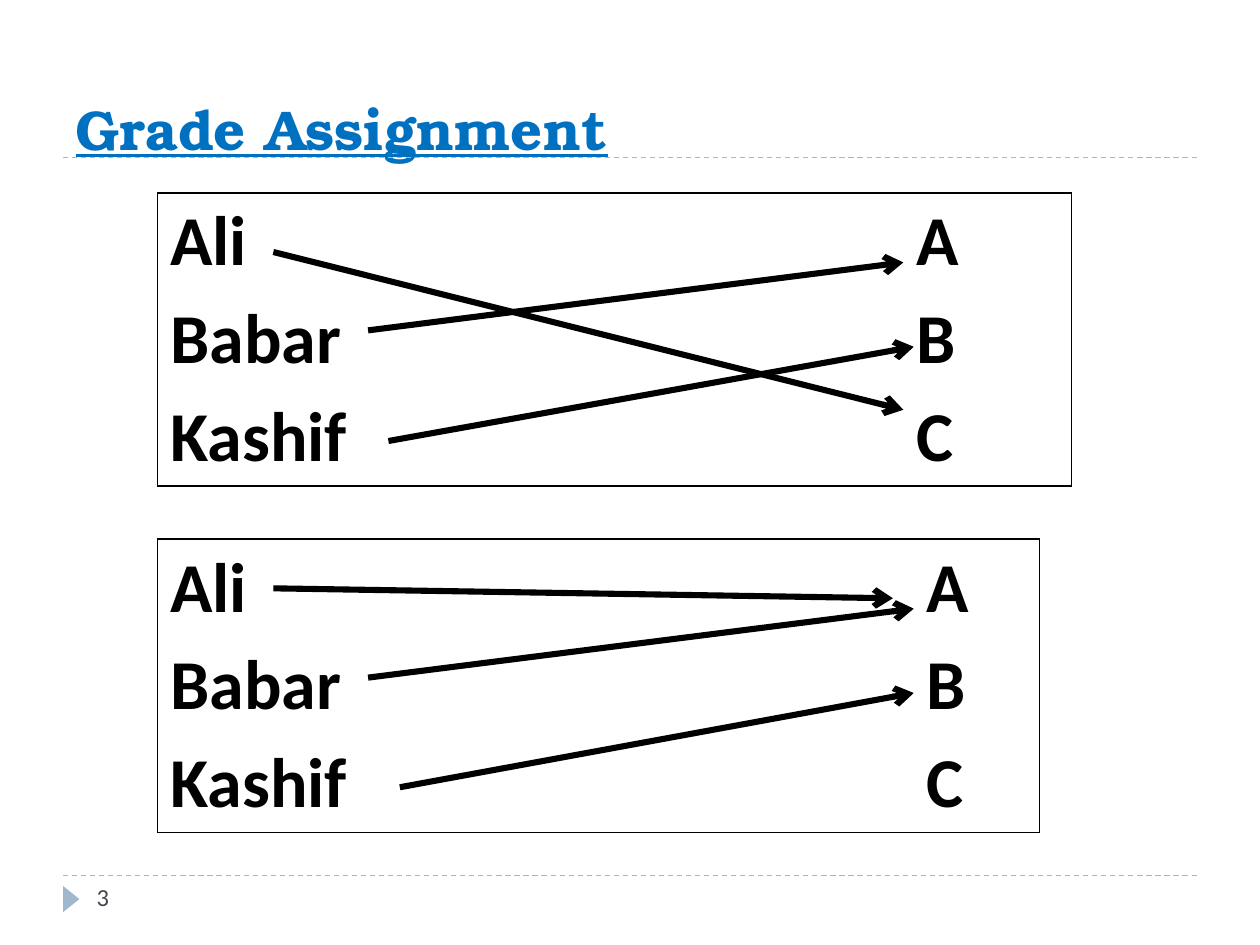
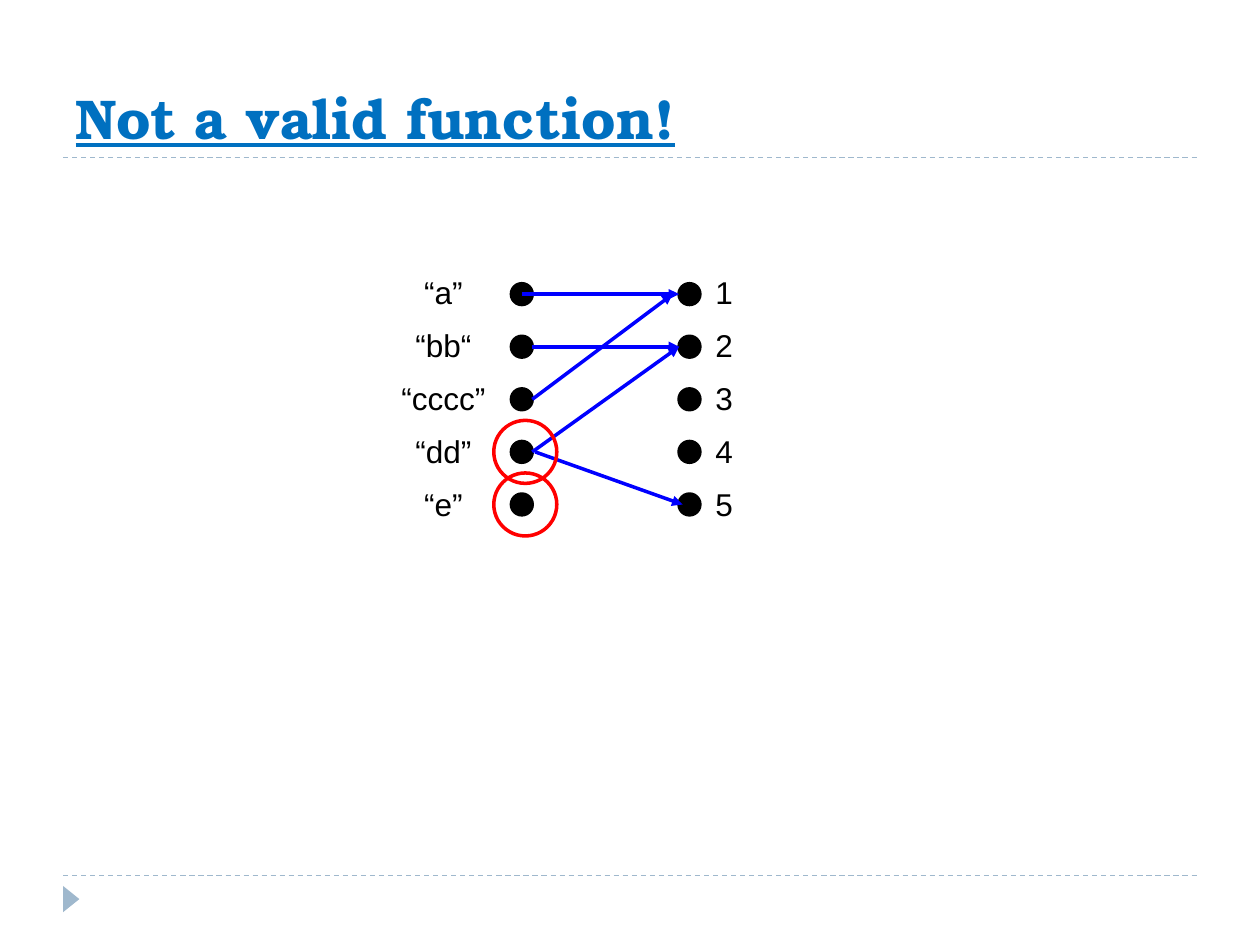
from lxml import etree
from pptx import Presentation
from pptx.dml.color import RGBColor
from pptx.enum.dml import MSO_LINE
from pptx.enum.shapes import MSO_CONNECTOR, MSO_SHAPE
from pptx.enum.text import MSO_ANCHOR, MSO_AUTO_SIZE, PP_ALIGN
from pptx.oxml.ns import qn
from pptx.util import Cm, Pt

BLACK, WHITE, BLUE, RED = "000000", "FFFFFF", "0000FF", "FF0000"
TITLE_BLUE, RULE_BLUE, FOOTER_GREY = "0070C0", "9FB8CD", "464653"
TITLE_FONT, BODY_FONT, DIAGRAM_FONT = "TeX Gyre Bonum", "Calibri", "Arial"
MARGIN, CONTENT_WIDTH = 1.27, 22.86
ROW_HEIGHT = 1.97


def color(hex_string):
    return RGBColor.from_string(hex_string)


def add_run(paragraph, text, font, size, hex_color, bold=False, underline=False):
    run = paragraph.add_run()
    run.text = text
    run.font.name = font
    run.font.size = Pt(size)
    run.font.color.rgb = color(hex_color)
    run.font.bold = bold
    run.font.underline = underline


def add_line(shapes, start, end, hex_color, width, head=None, dash=None):
    """Draw a straight line between two points in cm, with an optional arrowhead."""
    line = shapes.add_connector(MSO_CONNECTOR.STRAIGHT, *map(Cm, (*start, *end)))
    line.line.color.rgb = color(hex_color)
    line.line.width = Pt(width)
    if dash:
        line.line.dash_style = dash
    properties = line._element.spPr
    if head:
        etree.SubElement(properties.find(qn("a:ln")), qn("a:tailEnd"), type=head)
    etree.SubElement(properties, qn("a:effectLst"))


def add_preset(shapes, kind, left, top, width, height, fill=None, line=None):
    shape = shapes.add_shape(kind, Cm(left), Cm(top), Cm(width), Cm(height))
    shape.shadow.inherit = False
    if fill:
        shape.fill.solid()
        shape.fill.fore_color.rgb = color(fill)
    else:
        shape.fill.background()
    if line:
        shape.line.color.rgb = color(line)
        shape.line.width = Pt(2)
    else:
        shape.line.fill.background()
    return shape


def add_circle(shapes, center_x, center_y, diameter, fill, line):
    add_preset(shapes, MSO_SHAPE.OVAL, center_x - diameter / 2,
               center_y - diameter / 2, diameter, diameter, fill, line)


# Shared frame: rules, footer marker and title
def add_framed_slide(presentation, title_text, title_top, title_height):
    slide = presentation.slides.add_slide(presentation.slide_layouts[5])
    for rule_y in (17.65, 3.18):
        add_line(slide.shapes, (MARGIN, rule_y), (MARGIN + CONTENT_WIDTH, rule_y),
                 RULE_BLUE, 0.75, dash=MSO_LINE.DASH)
    marker = add_preset(slide.shapes, MSO_SHAPE.ISOSCELES_TRIANGLE,
                        1.17, 17.96, 0.53, 0.33, RULE_BLUE)
    marker.rotation = 90

    title = slide.shapes.title
    title.left, title.top = Cm(MARGIN), Cm(title_top)
    title.width, title.height = Cm(CONTENT_WIDTH), Cm(title_height)
    frame = title.text_frame
    frame.auto_size = MSO_AUTO_SIZE.NONE
    frame.vertical_anchor = MSO_ANCHOR.BOTTOM
    paragraph = frame.paragraphs[0]
    paragraph.alignment = PP_ALIGN.LEFT
    add_run(paragraph, title_text, TITLE_FONT, 32, TITLE_BLUE, True, True)
    return slide


def add_page_number(slide, number):
    box = slide.shapes.add_textbox(Cm(1.7), Cm(17.65), Cm(5.51), Cm(1.02))
    box.text_frame.word_wrap = True
    add_run(box.text_frame.paragraphs[0], number, BODY_FONT, 14, FOOTER_GREY)


def set_borders(cell, visible_sides):
    """Draw the visible sides of a cell and hide the others."""
    properties = cell._tc.get_or_add_tcPr()
    for side in "LRTB":
        border = etree.SubElement(properties, qn(f"a:ln{side}"), w=str(Pt(1)))
        if side in visible_sides:
            fill = etree.SubElement(border, qn("a:solidFill"))
            etree.SubElement(fill, qn("a:srgbClr"), val=BLACK)
        else:
            etree.SubElement(border, qn("a:noFill"))


# Table of students and grades, with arrows relative to its corner
def add_grade_mapping(slide, left, top, column_widths, arrows):
    rows = [("Ali", "", "A"), ("Babar", "", "B"), ("Kashif", "", "C")]
    last_row, last_column = len(rows) - 1, len(column_widths) - 1
    table = slide.shapes.add_table(
        len(rows), len(column_widths), Cm(left), Cm(top),
        Cm(sum(column_widths)), Cm(ROW_HEIGHT * len(rows))).table
    table.first_row = table.horz_banding = False
    for column, width in zip(table.columns, column_widths):
        column.width = Cm(width)
    for row_index, row in enumerate(rows):
        table.rows[row_index].height = Cm(ROW_HEIGHT)
        for column_index, text in enumerate(row):
            cell = table.cell(row_index, column_index)
            outer = {"L": column_index == 0, "R": column_index == last_column,
                     "T": row_index == 0, "B": row_index == last_row}
            set_borders(cell, [side for side, shown in outer.items() if shown])
            cell.fill.solid()
            cell.fill.fore_color.rgb = color(WHITE)
            if text:
                add_run(cell.text_frame.paragraphs[0], text, BODY_FONT, 40, BLACK, True)
    for start_x, start_y, end_x, end_y in arrows:
        add_line(slide.shapes, (left + start_x, top + start_y),
                 (left + end_x, top + end_y), BLACK, 3.5, "arrow")


def add_label_column(shapes, left, top, width, labels):
    box = shapes.add_textbox(Cm(left), Cm(top), Cm(width), Cm(5.59))
    frame = box.text_frame
    frame.word_wrap = False
    frame.auto_size = MSO_AUTO_SIZE.SHAPE_TO_FIT_TEXT
    for index, label in enumerate(labels):
        paragraph = frame.add_paragraph() if index else frame.paragraphs[0]
        paragraph.alignment = PP_ALIGN.CENTER
        paragraph.line_spacing = 1.4
        add_run(paragraph, label, DIAGRAM_FONT, 18, BLACK)


# Diagram mapping strings to numbers, relative to its corner
def add_string_mapping(slide, left, top):
    strings = ["“a”", "“bb“", "“cccc”", "“dd”", "“e”"]
    numbers = ["1", "2", "3", "4", "5"]
    string_x, number_x = left + 2.7, left + 6.08
    dot_size = 0.42
    row_y = [top + 0.85 + 1.06 * row for row in range(len(strings))]

    shapes = slide.shapes.add_group_shape().shapes
    for dot_x in (string_x, number_x):
        for dot_y in row_y:
            add_circle(shapes, dot_x, dot_y, dot_size, BLACK, BLACK)

    # Source row, target row, distance from source dot, distance to target dot
    arrows = [(0, 0, 0, 0.21), (1, 1, 0.21, 0.21), (3, 1, 0.21, 0.21),
              (2, 0, 0.21, 0.34), (3, 4, 0.27, 0.14)]
    for source, target, start_gap, end_gap in arrows:
        add_line(shapes, (string_x + start_gap, row_y[source]),
                 (number_x - end_gap, row_y[target]), BLUE, 2, "triangle")
    add_label_column(shapes, left + 6.35, top, 0.86, numbers)
    add_label_column(shapes, left, top, 2.24, strings)

    # Rings around the strings that break the rule
    for row in (3, 4):
        add_circle(slide.shapes, left + 2.77, row_y[row], 1.27, None, RED)


def main():
    presentation = Presentation()
    presentation.slide_width, presentation.slide_height = Cm(25.4), Cm(19.05)

    grades = add_framed_slide(presentation, "Grade Assignment", 0.2, 3.18)
    add_page_number(grades, "3")
    add_grade_mapping(grades, 3.18, 3.89, (6.15, 8.89, 3.38),
                      [(2.33, 1.19, 15.03, 4.37), (4.24, 2.77, 15.03, 1.4),
                       (4.65, 5, 15.24, 3.1)])
    add_grade_mapping(grades, 3.18, 10.87, (5.92, 9.32, 2.54),
                      [(2.33, 0.99, 14.82, 1.19), (4.24, 2.79, 15.24, 1.4),
                       (4.88, 5, 15.24, 3.1)])

    invalid = add_framed_slide(presentation, "Not a valid function!", 0.43, 2.74)
    add_string_mapping(invalid, 7.82, 5.08)

    presentation.save("out.pptx")


if __name__ == "__main__":
    main()
